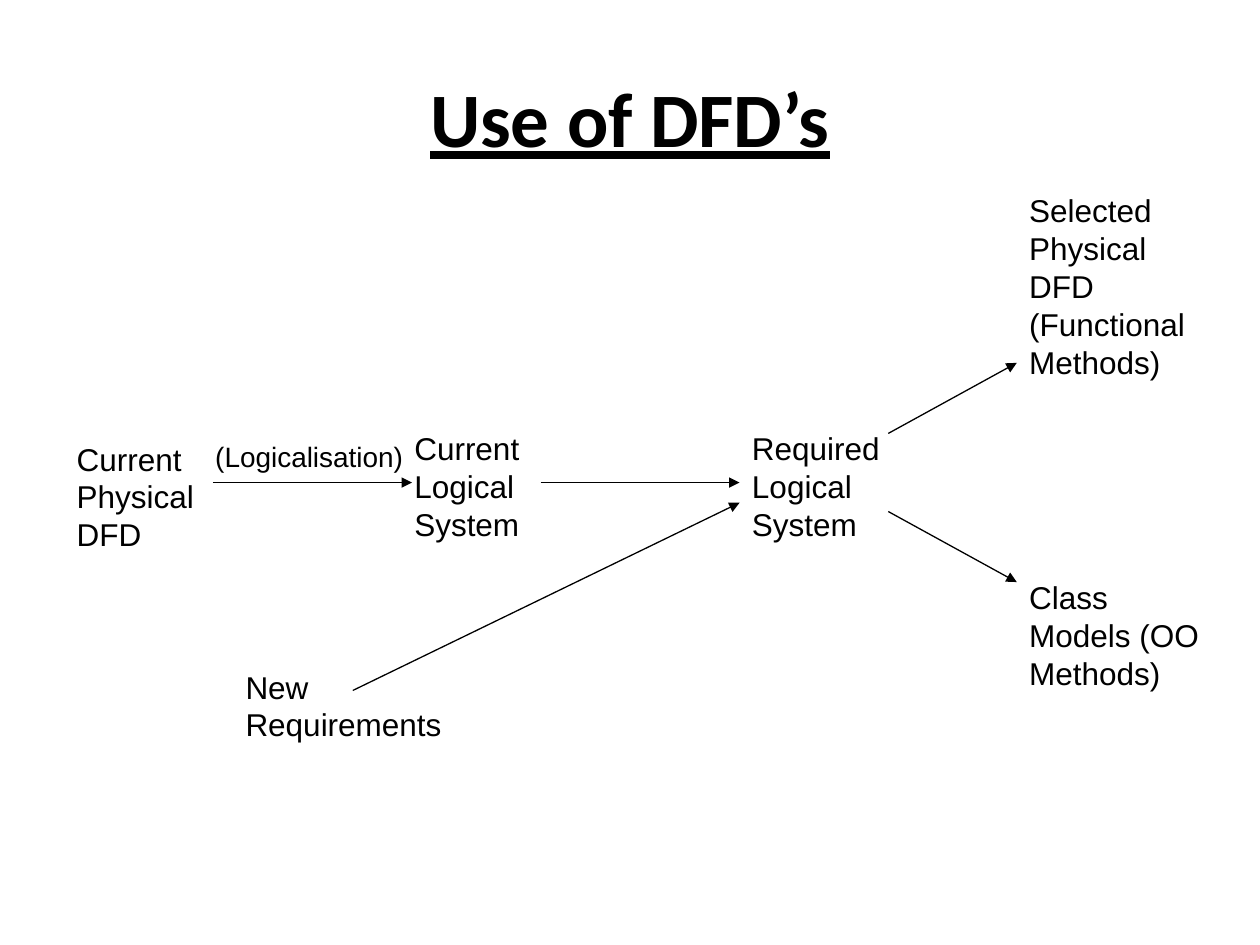
from lxml import etree
from pptx import Presentation
from pptx.dml.color import RGBColor
from pptx.enum.shapes import MSO_CONNECTOR
from pptx.enum.text import MSO_ANCHOR, PP_ALIGN
from pptx.oxml.ns import qn
from pptx.util import Inches, Pt

STRAIGHT = MSO_CONNECTOR.STRAIGHT
LEFT, CENTER = PP_ALIGN.LEFT, PP_ALIGN.CENTER
TOP, MIDDLE = MSO_ANCHOR.TOP, MSO_ANCHOR.MIDDLE
BLACK = "000000"

STAGES = [
    ("Current Physical DFD", 0.51, 3.44, 1.34, 1),
    ("Current Logical System", 3.19, 3.36, 1.34, 1),
    ("Required Logical System", 5.87, 3.36, 1.34, 1),
    ("New Requirements", 1.85, 5.25, 2.05, 0.7),
    ("Selected Physical DFD (Functional Methods)", 8.07, 1.47, 1.57, 1.6),
    ("Class Models (OO Methods)", 8.07, 4.54, 1.57, 1),
]
FLOWS = [
    (1.69, 3.83, 3.27, 3.83),
    (4.29, 3.83, 5.87, 3.83),
    (2.8, 5.48, 5.87, 3.99),
    (7.05, 3.44, 8.07, 2.88),
    (7.05, 4.06, 8.07, 4.62),
]


def color(hex_string):
    """Return the colour for a hex string."""
    return RGBColor.from_string(hex_string)


def add_text(slide, text, left, top, width, height, size=18, font="Arial",
             bold=False, underline=False, align=LEFT, anchor=TOP):
    """Add a wrapped text box with one formatted paragraph."""
    box = slide.shapes.add_textbox(
        Inches(left), Inches(top), Inches(width), Inches(height))
    frame = box.text_frame
    frame.word_wrap = True
    frame.vertical_anchor = anchor
    paragraph = frame.paragraphs[0]
    paragraph.alignment = align
    run = paragraph.add_run()
    run.text = text
    run.font.name = font
    run.font.size = Pt(size)
    run.font.bold = bold
    run.font.underline = underline
    run.font.color.rgb = color(BLACK)


def add_arrow(slide, x1, y1, x2, y2):
    """Add a thin straight arrow pointing at its second end."""
    arrow = slide.shapes.add_connector(
        STRAIGHT, Inches(x1), Inches(y1), Inches(x2), Inches(y2))
    arrow.line.width = Pt(0.75)
    arrow.line.color.rgb = color(BLACK)
    outline = arrow.line._get_or_add_ln()
    etree.SubElement(outline, qn("a:tailEnd"), type="triangle")
    etree.SubElement(outline.getparent(), qn("a:effectLst"))


def main():
    """Build the slide on the use of data flow diagrams."""
    deck = Presentation()
    deck.slide_width, deck.slide_height = Inches(10), Inches(7.5)
    slide = deck.slides.add_slide(deck.slide_layouts[6])
    add_text(slide, "Use of DFD’s", 0.5, 0.3, 9, 1.25, size=44, font="Calibri",
             bold=True, underline=True, align=CENTER, anchor=MIDDLE)
    for stage in STAGES:
        add_text(slide, *stage)
    add_text(slide, "(Logicalisation)", 1.61, 3.44, 2.05, 0.37, size=16)
    for flow in FLOWS:
        add_arrow(slide, *flow)
    deck.save("out.pptx")


if __name__ == "__main__":
    main()
